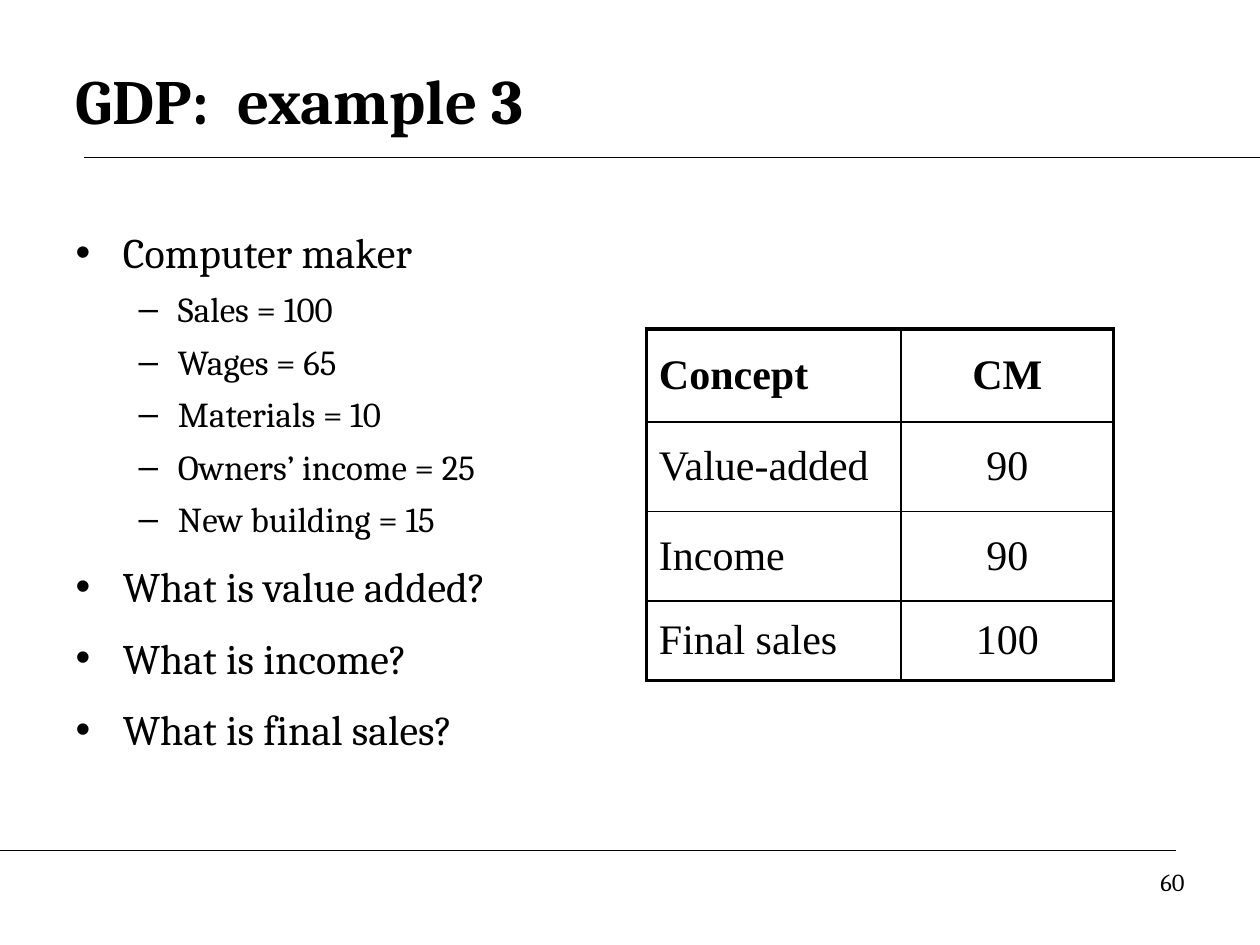
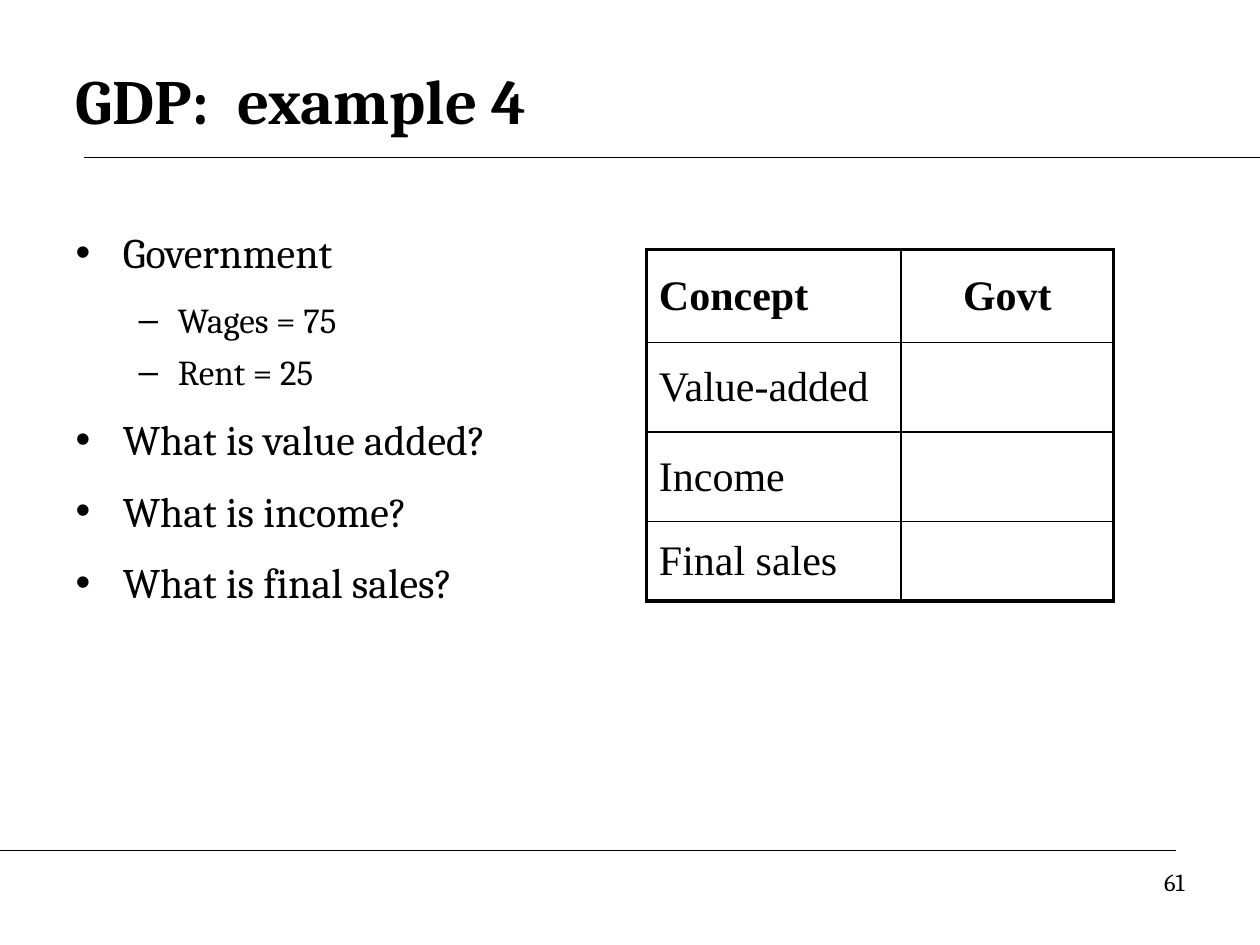
from lxml.etree import SubElement
from pptx import Presentation
from pptx.dml.color import RGBColor
from pptx.enum.shapes import MSO_CONNECTOR
from pptx.enum.text import MSO_ANCHOR, MSO_AUTO_SIZE, PP_ALIGN
from pptx.oxml.ns import qn
from pptx.util import Inches, Pt

BLACK = "000000"
WHITE = "FFFFFF"
TEXT_FONT = "Cambria"
TABLE_FONT = "Times New Roman"
OUTER_BORDER = 2.25
INNER_BORDER = 1
COLUMN_WIDTHS = (2.02, 1.69)
ROW_HEIGHTS = (0.74, 0.71, 0.71, 0.63)
CONCEPTS = ("Concept", "Value-added", "Income", "Final sales")
QUESTIONS = [
    (0, "What is value added?", 12),
    (0, "What is income?", 12),
    (0, "What is final sales?", 12),
]


def color(hex_value):
    """Turn a hex string into a colour."""
    return RGBColor.from_string(hex_value)


def place(shape, left, top, width, height):
    """Move and size a shape, in inches."""
    shape.left, shape.top = Inches(left), Inches(top)
    shape.width, shape.height = Inches(width), Inches(height)


def add_text(paragraph, text, size, font_name=TEXT_FONT, bold=False):
    """Add one formatted run to a paragraph."""
    run = paragraph.add_run()
    run.text = text
    run.font.name = font_name
    run.font.size = Pt(size)
    run.font.bold = bold
    run.font.color.rgb = color(BLACK)


def add_rule(slide, left, right, top):
    """Draw a thin horizontal line."""
    rule = slide.shapes.add_connector(
        MSO_CONNECTOR.STRAIGHT, Inches(left), Inches(top), Inches(right), Inches(top)
    )
    rule.line.color.rgb = color(BLACK)
    rule.line.width = Pt(0.75)
    SubElement(rule._element.spPr, qn("a:effectLst"))


def add_slide_number(slide, number):
    """Write the slide number at the lower right."""
    box = slide.shapes.add_textbox(Inches(7.17), Inches(6.83), Inches(2.33), Inches(0.52))
    box.text_frame.word_wrap = True
    paragraph = box.text_frame.paragraphs[0]
    paragraph.alignment = PP_ALIGN.RIGHT
    add_text(paragraph, str(number), 14)


def add_base_slide(presentation, title, number):
    """Add a slide with its rules, title and number."""
    slide = presentation.slides.add_slide(presentation.slide_layouts[1])
    add_rule(slide, 0.67, 10, 1.25)
    add_rule(slide, 0, 9.33, 6.75)
    place(slide.shapes.title, 0.5, 0.33, 9, 0.92)
    frame = slide.shapes.title.text_frame
    frame.auto_size = MSO_AUTO_SIZE.NONE
    frame.vertical_anchor = MSO_ANCHOR.MIDDLE
    frame.paragraphs[0].alignment = PP_ALIGN.LEFT
    add_text(frame.paragraphs[0], title, 36, bold=True)
    add_slide_number(slide, number)
    return slide


def fill_list(slide, items, height):
    """Fill the body with (level, text, space before) items."""
    body = slide.placeholders[1]
    place(body, 0.5, 1.75, 4.25, height)
    frame = body.text_frame
    frame.auto_size = MSO_AUTO_SIZE.NONE
    for index, (level, text, space) in enumerate(items):
        paragraph = frame.add_paragraph() if index else frame.paragraphs[0]
        paragraph.level = level
        paragraph.space_before = Pt(space)
        add_text(paragraph, text, 20 if level else 24)


def set_borders(cell, widths):
    """Give a cell black borders from a side-to-width mapping."""
    properties = cell._tc.get_or_add_tcPr()
    for position, (side, width) in enumerate(widths.items()):
        line = SubElement(properties, qn(f"a:ln{side}"), w=str(Pt(width)))
        fill = SubElement(line, qn("a:solidFill"))
        SubElement(fill, qn("a:srgbClr"), val=BLACK)
        properties.insert(position, line)


def add_concept_table(slide, top, results):
    """Add the table of concepts with a column of results."""
    last_row, last_column = len(ROW_HEIGHTS) - 1, len(COLUMN_WIDTHS) - 1
    table = slide.shapes.add_table(
        len(ROW_HEIGHTS), len(COLUMN_WIDTHS), Inches(5.13), Inches(top),
        Inches(sum(COLUMN_WIDTHS)), Inches(sum(ROW_HEIGHTS)),
    ).table
    table.first_row = table.horz_banding = False
    for column, width in zip(table.columns, COLUMN_WIDTHS):
        column.width = Inches(width)
    for row, height in zip(table.rows, ROW_HEIGHTS):
        row.height = Inches(height)
    for row_index, texts in enumerate(zip(CONCEPTS, results)):
        for column_index, text in enumerate(texts):
            cell = table.cell(row_index, column_index)
            cell.vertical_anchor = MSO_ANCHOR.MIDDLE
            cell.fill.solid()
            cell.fill.fore_color.rgb = color(WHITE)
            outer_sides = {
                "L": column_index == 0,
                "R": column_index == last_column,
                "T": row_index == 0,
                "B": row_index == last_row,
            }
            set_borders(cell, {
                side: OUTER_BORDER if outer else INNER_BORDER
                for side, outer in outer_sides.items()
            })
            if text:
                paragraph = cell.text_frame.paragraphs[0]
                paragraph.alignment = PP_ALIGN.CENTER if column_index else PP_ALIGN.LEFT
                add_text(paragraph, text, 24, TABLE_FONT, bold=row_index == 0)


def main():
    """Build the two GDP example slides."""
    presentation = Presentation()
    presentation.slide_width, presentation.slide_height = Inches(10), Inches(7.5)

    computer_slide = add_base_slide(presentation, "GDP:  example 3", 60)
    computer_items = [
        (0, "Computer maker", 0),
        (1, "Sales = 100", 6),
        (1, "Wages = 65", 6),
        (1, "Materials = 10", 6),
        (1, "Owners’ income = 25", 6),
        (1, "New building = 15", 6),
    ]
    fill_list(computer_slide, computer_items + QUESTIONS, 4.95)
    add_concept_table(computer_slide, 2.61, ("CM", "90", "90", "100"))

    government_slide = add_base_slide(presentation, "GDP:  example 4", 61)
    government_items = [
        (0, "Government", 0),
        (1, "Wages = 75", 12),
        (1, "Rent = 25", 6),
    ]
    fill_list(government_slide, government_items + QUESTIONS, 4.42)
    add_concept_table(government_slide, 1.98, ("Govt", "", "", ""))

    presentation.save("out.pptx")


if __name__ == "__main__":
    main()
